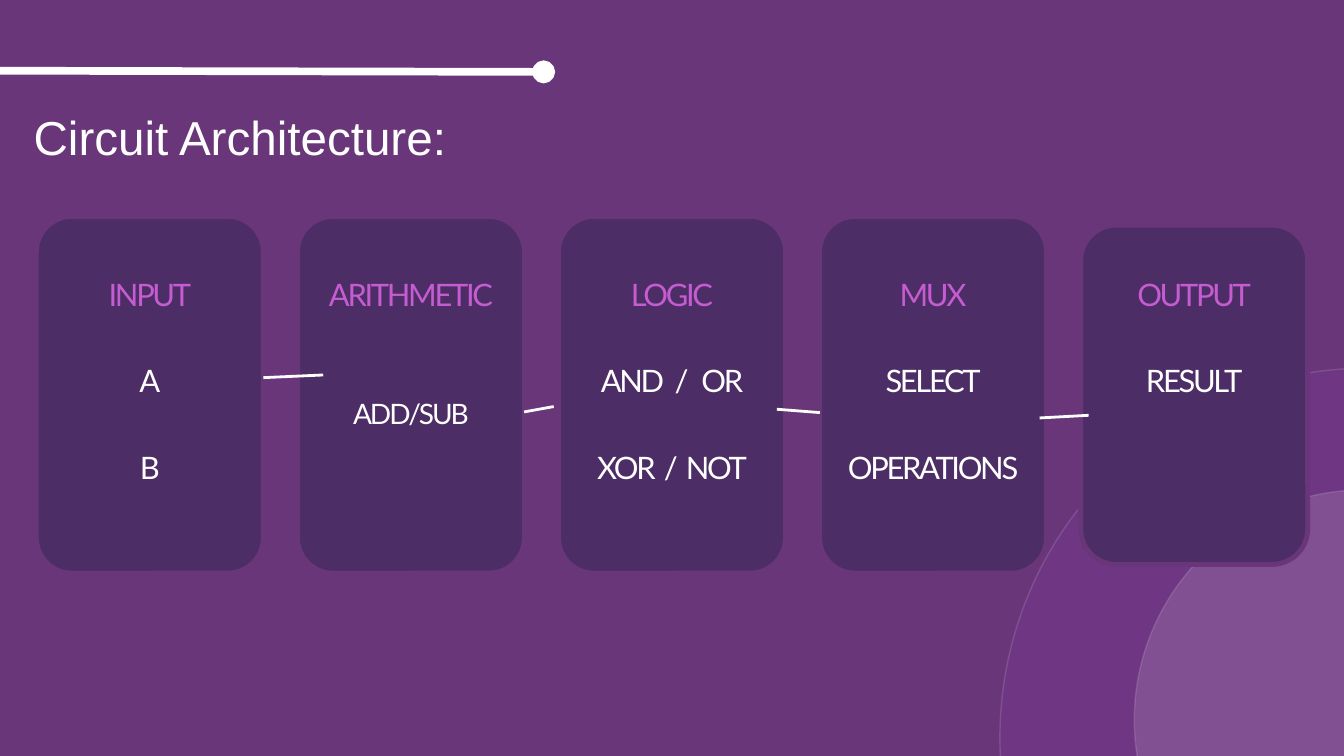
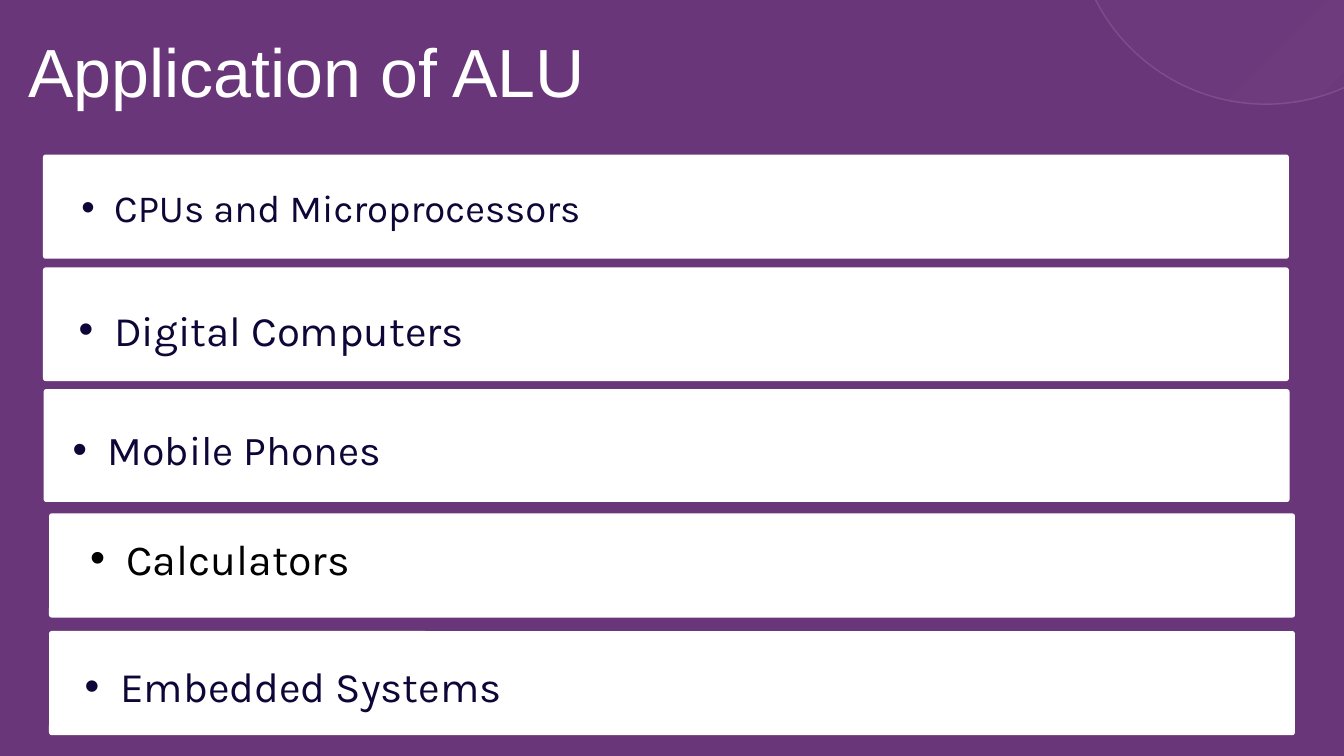
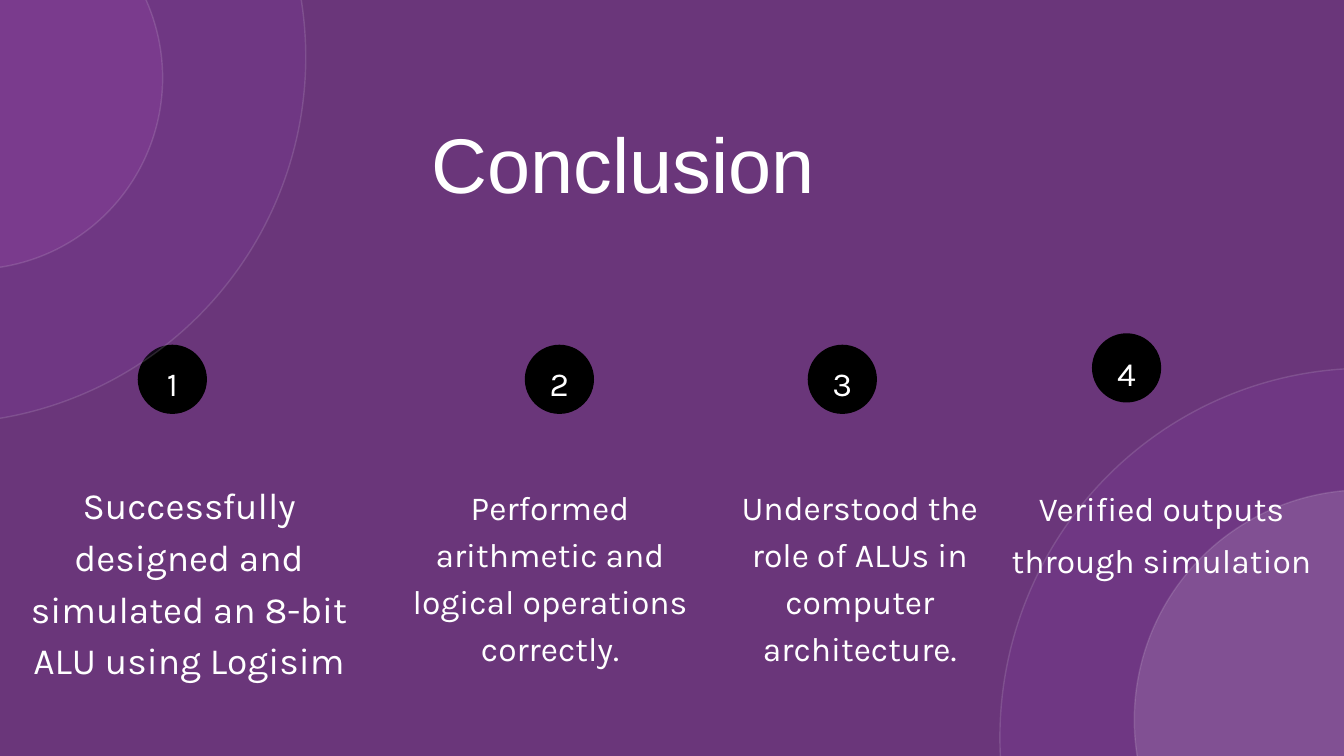
from dataclasses import dataclass, replace
from typing import Any, NamedTuple, Optional

from lxml.etree import SubElement
from pptx import Presentation
from pptx.dml.color import RGBColor
from pptx.enum.shapes import MSO_CONNECTOR as Connector, MSO_SHAPE as Preset
from pptx.enum.text import MSO_ANCHOR as Anchor, MSO_AUTO_SIZE as AutoSize, PP_ALIGN as Align
from pptx.oxml.ns import qn
from pptx.shapes.base import BaseShape
from pptx.slide import Slide
from pptx.text.text import TextFrame
from pptx.util import Inches, Pt

WHITE = RGBColor(0xFF, 0xFF, 0xFF)
BLACK = RGBColor(0x00, 0x00, 0x00)
PURPLE = RGBColor(0x6A, 0x36, 0x7A)
CARD_PURPLE = RGBColor(0x4D, 0x2D, 0x65)
VIOLET = RGBColor(0x92, 0x45, 0xC4)
ORCHID = RGBColor(0xC5, 0x5C, 0xD1)
NAVY = RGBColor(0x0E, 0x06, 0x37)

FRAME_FORMAT = {
    "margin_left": 0, "margin_top": 0, "margin_right": 0, "margin_bottom": 0,
    "word_wrap": True, "auto_size": AutoSize.NONE, "vertical_anchor": Anchor.TOP,
}


class Box(NamedTuple):
    left: float
    top: float
    width: float
    height: float

    def lengths(self) -> tuple[Inches, ...]:
        return tuple(Inches(value) for value in self)


@dataclass(frozen=True)
class TextStyle:
    font: str
    size: float
    leading: float
    color: RGBColor = WHITE
    align: Align = Align.CENTER
    tracking: float = 0


@dataclass(frozen=True)
class Circle:
    box: Box
    color: RGBColor
    line_alpha: int = 13
    fill_alphas: tuple[int, ...] = (13,)


class Detail(NamedTuple):
    text: str
    slash_tracking: float = 0


@dataclass(frozen=True)
class Stage:
    heading: str
    details: tuple[Detail, ...]
    style: TextStyle
    gap: float
    top: float = 3.22
    height: float = 5.31


@dataclass(frozen=True)
class Application:
    name: str
    bar: Box
    text_left: float
    text_top: float
    hanging: float
    style: TextStyle


@dataclass(frozen=True)
class Takeaway:
    lines: tuple[str, ...]
    box: Box
    style: TextStyle
    badge_left: float
    badge_top: float = 5.13
    number_drop: float = 0.08


HEADING = TextStyle("Lato", 33.1, 46.3, ORCHID, tracking=-2.5)
DETAIL = replace(HEADING, color=WHITE)
ADDER = replace(DETAIL, size=30.1, leading=42.1, tracking=-2.2)
KARLA_BODY = TextStyle("Karla", 36, 50.4)
NUMBER = replace(KARLA_BODY, leading=56.5)
BULLET = TextStyle("Karla", 45, 63, NAVY, Align.LEFT)

LOWER_RIGHT = (
    Circle(Box(14.88, 5.48, 10.9, 10.99), VIOLET),
    Circle(Box(16.88, 7.29, 6.84, 6.84), WHITE),
)
UPPER_LEFT = (
    Circle(Box(-6.35, -4.6, 10.9, 10.9), VIOLET),
    Circle(Box(-3.28, -1.69, 5.7, 5.7), ORCHID),
)
UPPER_RIGHT = Circle(Box(15.99, -4.15, 5.7, 5.7), WHITE, 11, (1, 2, 1, 2, 1))

STAGES = (
    Stage("INPUT", (Detail("A"), Detail("B")), DETAIL, 46.3),
    Stage("ARITHMETIC", (Detail("ADD/SUB"),), ADDER, 84.2),
    Stage("LOGIC", (Detail("AND / OR", 2.7), Detail("XOR / NOT", 0.1)), DETAIL, 46.3),
    Stage("MUX", (Detail("SELECT"), Detail("OPERATIONS")), DETAIL, 46.3),
    Stage("OUTPUT", (Detail("RESULT"),), DETAIL, 46.3, 3.35, 5.05),
)
STAGE_LEFT, STAGE_PITCH, STAGE_WIDTH, STAGE_RADIUS = 0.54, 3.885, 3.38, 0.53
STAGE_LINKS = (
    (3.92, 5.62, 4.81, 5.58),
    (7.8, 6.13, 8.24, 6.05),
    (11.56, 6.09, 12.2, 6.14),
    (15.47, 6.22, 16.2, 6.18),
)

APPLICATIONS = (
    Application("CPUs and Microprocessors", Box(0.64, 2.3, 18.54, 1.55), 1.7, 2.62, 0.49,
                replace(BULLET, size=41.2, leading=57.7)),
    Application("Digital Computers", Box(0.64, 3.98, 18.54, 1.69), 1.7, 4.4, 0.53, BULLET),
    Application("Mobile Phones", Box(0.65, 5.79, 18.54, 1.68), 1.6, 6.19, 0.52,
                replace(BULLET, size=44, leading=61.6)),
    Application("Calculators", Box(0.73, 7.64, 18.54, 1.55), 1.88, 7.79, 0.54,
                replace(BULLET, size=46, leading=64.4, color=BLACK)),
    Application("Embedded Systems", Box(0.73, 9.39, 18.54, 1.55), 1.79, 9.71, 0.53, BULLET),
)
APPLICATION_LIST = Box(0.56, 2.62, 18.54, 8.2)
BAR_RADIUS = 0.04

TAKEAWAYS = (
    Takeaway(("Successfully designed and simulated an 8-bit ALU using Logisim",),
             Box(0.4, 7.07, 4.83, 3.05), replace(KARLA_BODY, size=39.7, leading=55.5), 2.05),
    Takeaway(("Performed arithmetic and logical operations correctly.",),
             Box(5.99, 7.14, 4.39, 2.76), KARLA_BODY, 7.81),
    Takeaway(("Understood the role of ALUs in computer architecture.",),
             Box(10.6, 7.14, 4.39, 2.76), KARLA_BODY, 12.02),
    Takeaway(("Verified outputs", "through simulation"),
             Box(15, 7.07, 4.57, 1.51), NUMBER, 16.25, 4.96, 0.11),
)
BADGE_SIZE = 1.03


def apply_format(target: Any, values: dict[str, Any]) -> None:
    for name, value in values.items():
        setattr(target, name, value)


def add_run(paragraph: Any, text: str, style: TextStyle) -> None:
    run = paragraph.add_run()
    run.text = text
    apply_format(run.font, {"name": style.font, "size": Pt(style.size), "bold": False})
    run.font.color.rgb = style.color
    if style.tracking:
        run.font._element.set("spc", str(round(style.tracking * 100)))


def add_paragraph(frame: TextFrame, style: TextStyle, before: float = 0) -> Any:
    first = frame.paragraphs[0]
    paragraph = frame.add_paragraph() if first.runs else first
    apply_format(paragraph, {
        "alignment": style.align, "line_spacing": Pt(style.leading),
        "space_before": Pt(before), "space_after": Pt(0),
    })
    return paragraph


def add_line(frame: TextFrame, text: str, style: TextStyle, before: float = 0) -> Any:
    paragraph = add_paragraph(frame, style, before)
    add_run(paragraph, text, style)
    return paragraph


def place(shape: BaseShape, box: Box) -> TextFrame:
    apply_format(shape, dict(zip(box._fields, box.lengths())))
    apply_format(shape.text_frame, FRAME_FORMAT)
    return shape.text_frame


def add_text_box(slide: Slide, box: Box) -> TextFrame:
    return place(slide.shapes.add_textbox(*box.lengths()), box)


def set_title(slide: Slide, text: str, box: Box, style: TextStyle) -> None:
    add_line(place(slide.shapes.title, box), text, style)


def add_filled(slide: Slide, preset: Preset, box: Box, color: RGBColor,
               radius: Optional[float] = None) -> Any:
    shape = slide.shapes.add_shape(preset, *box.lengths())
    shape.shadow.inherit = False
    shape.fill.solid()
    shape.fill.fore_color.rgb = color
    shape.line.fill.background()
    if radius is not None:
        shape.adjustments[0] = radius / min(box.width, box.height)
    return shape


def set_alpha(color_element: Any, percent: int) -> None:
    SubElement(color_element, qn("a:alpha")).set("val", str(percent * 1000))


def add_circle(slide: Slide, circle: Circle) -> None:
    shape = add_filled(slide, Preset.OVAL, circle.box, circle.color)
    shape.line.color.rgb = WHITE
    shape.line.width = Pt(1.5)
    properties = shape.element.spPr
    set_alpha(properties.find(f"{qn('a:ln')}/{qn('a:solidFill')}/{qn('a:srgbClr')}"),
              circle.line_alpha)
    alphas = circle.fill_alphas
    if len(alphas) == 1:
        set_alpha(properties.find(f"{qn('a:solidFill')}/{qn('a:srgbClr')}"), alphas[0])
        return
    shape.fill.gradient()
    shape.fill.gradient_angle = 315
    stops = properties.find(f"{qn('a:gradFill')}/{qn('a:gsLst')}")
    for old_stop in list(stops):
        stops.remove(old_stop)
    for index, alpha in enumerate(alphas):
        stop = SubElement(stops, qn("a:gs"))
        stop.set("pos", str(index * 100000 // (len(alphas) - 1)))
        stop_color = SubElement(stop, qn("a:srgbClr"))
        stop_color.set("val", str(circle.color))
        set_alpha(stop_color, alpha)


def add_link(slide: Slide, ends: tuple[float, ...], width: float, dots: bool = False) -> None:
    link = slide.shapes.add_connector(Connector.STRAIGHT, *(Inches(end) for end in ends))
    link.line.color.rgb = WHITE
    link.line.width = Pt(width)
    properties = link.element.spPr
    if dots:
        for tag in ("a:headEnd", "a:tailEnd"):
            SubElement(properties.find(qn("a:ln")), qn(tag)).set("type", "oval")
    SubElement(properties, qn("a:effectLst"))


def add_stage(slide: Slide, left: float, stage: Stage) -> None:
    card = add_filled(slide, Preset.ROUNDED_RECTANGLE,
                      Box(left, stage.top, STAGE_WIDTH, stage.height), CARD_PURPLE, STAGE_RADIUS)
    card.line.color.rgb = PURPLE
    card.line.width = Pt(5.25)
    frame = add_text_box(slide, Box(left, 4.01, STAGE_WIDTH, 3.16))
    add_line(frame, stage.heading, HEADING)
    for detail in stage.details:
        paragraph = add_paragraph(frame, stage.style, stage.gap)
        before, slash, after = detail.text.partition(" / ")
        add_run(paragraph, before, stage.style)
        if slash:
            add_run(paragraph, slash, replace(stage.style, tracking=detail.slash_tracking))
            add_run(paragraph, after, stage.style)


def add_bullet(paragraph: Any, margin: float, hanging: float) -> None:
    properties = paragraph._p.get_or_add_pPr()
    properties.set("marL", str(Inches(margin)))
    properties.set("indent", str(-Inches(hanging)))
    SubElement(properties, qn("a:buFont")).set("typeface", "Arial")
    SubElement(properties, qn("a:buChar")).set("char", "•")


def add_takeaway(slide: Slide, number: int, takeaway: Takeaway) -> None:
    badge = Box(takeaway.badge_left, takeaway.badge_top, BADGE_SIZE, BADGE_SIZE)
    add_filled(slide, Preset.OVAL, badge, BLACK)
    number_box = badge._replace(top=badge.top + takeaway.number_drop, height=0.7)
    add_line(add_text_box(slide, number_box), str(number), NUMBER)
    frame = add_text_box(slide, takeaway.box)
    for line in takeaway.lines:
        add_line(frame, line, takeaway.style)


def build_architecture(slide: Slide) -> None:
    set_title(slide, "Circuit Architecture:", Box(0.5, 1.04, 15.58, 1.27),
              TextStyle("Arial", 51, 102, align=Align.LEFT))
    add_link(slide, (-0.99, 1.05, 8.09, 1.07), 8.25, dots=True)
    for circle in LOWER_RIGHT:
        add_circle(slide, circle)
    for index, stage in enumerate(STAGES):
        add_stage(slide, STAGE_LEFT + index * STAGE_PITCH, stage)
    for ends in STAGE_LINKS:
        add_link(slide, ends, 3)


def build_applications(slide: Slide) -> None:
    set_title(slide, "Application of ALU", Box(0.42, 0.44, 18.45, 1.22),
              TextStyle("Arial", 73, 87.6, align=Align.JUSTIFY))
    listing = slide.placeholders[1]
    frame = place(listing, APPLICATION_LIST)
    line_bottom = APPLICATION_LIST.top
    for application in APPLICATIONS:
        add_filled(slide, Preset.ROUNDED_RECTANGLE, application.bar, WHITE, BAR_RADIUS)
        gap = max(0, application.text_top - line_bottom)
        paragraph = add_line(frame, application.name, application.style, round(gap * 72, 1))
        add_bullet(paragraph, application.text_left - APPLICATION_LIST.left, application.hanging)
        line_bottom = application.text_top + application.style.leading / 72
    listing.element.getparent().append(listing.element)
    add_circle(slide, UPPER_RIGHT)


def build_conclusion(slide: Slide) -> None:
    set_title(slide, "Conclusion", Box(1.58, 1.73, 15.4, 1.39), TextStyle("Arial", 83, 99.6))
    *earlier, last = enumerate(TAKEAWAYS, start=1)
    for number, takeaway in earlier:
        add_takeaway(slide, number, takeaway)
    for circle in UPPER_LEFT + LOWER_RIGHT:
        add_circle(slide, circle)
    add_takeaway(slide, *last)


def main() -> None:
    deck = Presentation()
    apply_format(deck, {"slide_width": Inches(20), "slide_height": Inches(11.25)})
    backdrop = deck.slide_master.background.fill
    backdrop.solid()
    backdrop.fore_color.rgb = PURPLE
    title_only, title_and_list = deck.slide_layouts[5], deck.slide_layouts[1]
    for layout, build in (
        (title_only, build_architecture),
        (title_and_list, build_applications),
        (title_only, build_conclusion),
    ):
        build(deck.slides.add_slide(layout))
    deck.save("out.pptx")


if __name__ == "__main__":
    main()
